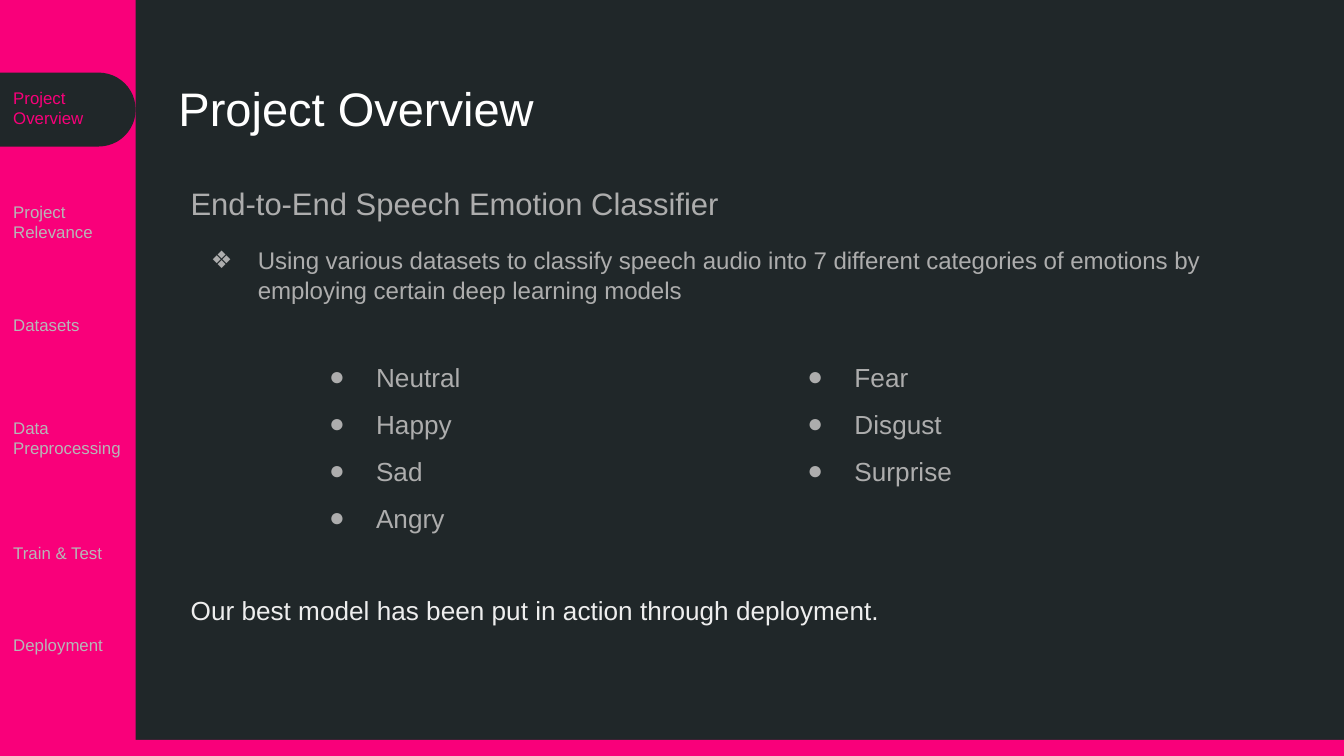
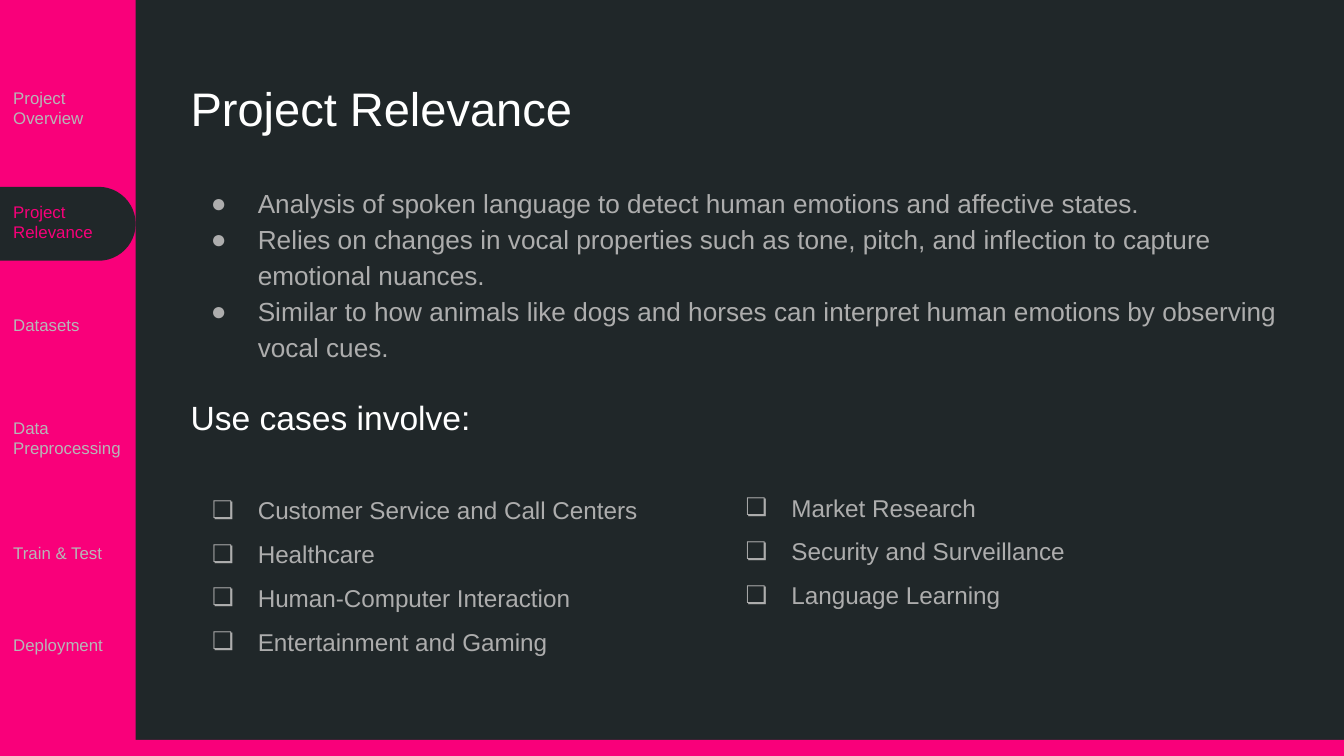
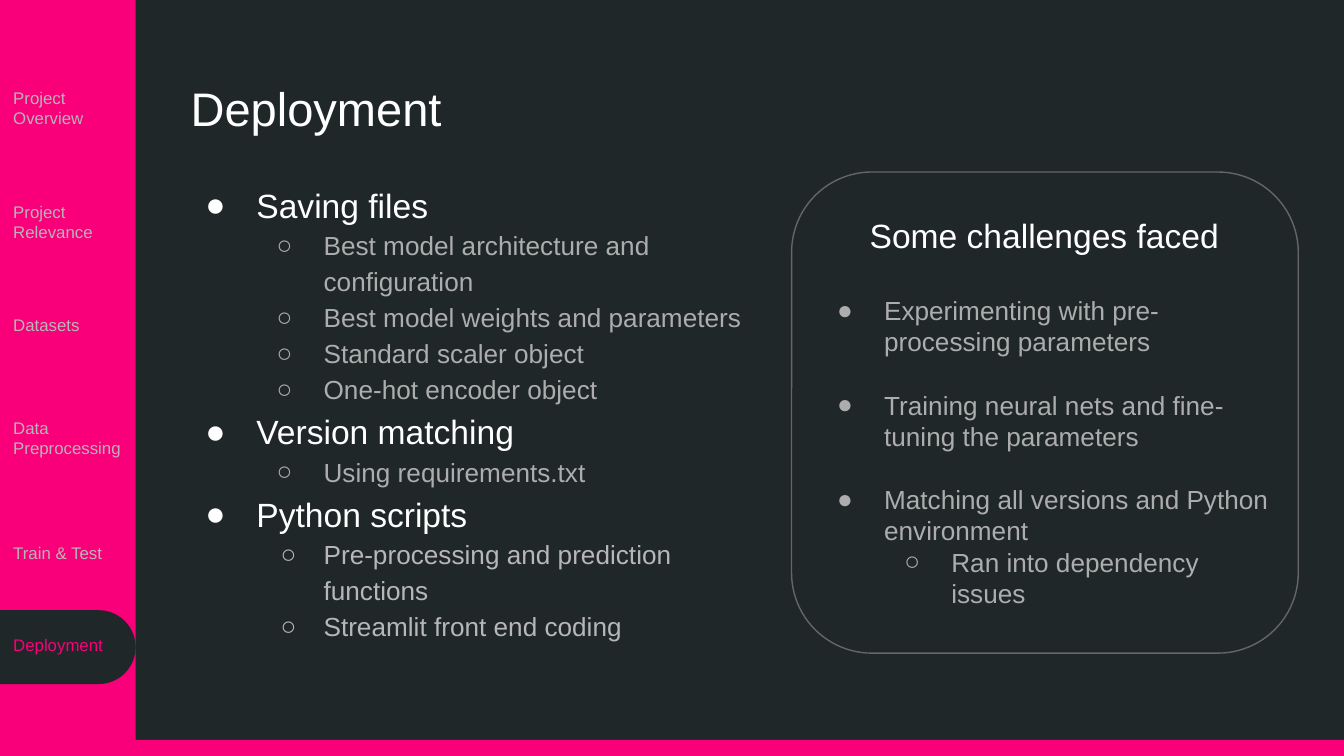
from dataclasses import dataclass

from lxml import etree
from pptx import Presentation
from pptx.dml.color import RGBColor
from pptx.enum.shapes import MSO_SHAPE
from pptx.enum.text import MSO_ANCHOR, PP_ALIGN
from pptx.oxml.ns import qn
from pptx.util import Inches, Pt

RECT = MSO_SHAPE.RECTANGLE
ROUND_RECT = MSO_SHAPE.ROUNDED_RECTANGLE
TOP, MIDDLE = MSO_ANCHOR.TOP, MSO_ANCHOR.MIDDLE
LEFT, CENTER = PP_ALIGN.LEFT, PP_ALIGN.CENTER


@dataclass(frozen=True)
class Theme:
    font: str = "Arial"
    dark: str = "202729"
    accent: str = "F9007A"
    white: str = "FFFFFF"
    bright: str = "EEEEEE"
    body: str = "ADADAD"
    muted: str = "B7B7B7"
    outline: str = "666666"
    title_size: float = 25.2
    heading_size: float = 18
    lead_size: float = 16.6
    body_size: float = 14
    list_size: float = 13
    detail_size: float = 12.9
    nav_size: float = 9


THEME = Theme()


@dataclass(frozen=True)
class Box:
    left: float
    top: float
    width: float
    height: float

    def lengths(self) -> tuple:
        return tuple(Inches(v) for v in (self.left, self.top, self.width, self.height))


@dataclass(frozen=True)
class Para:
    text: str
    size: float = THEME.body_size
    color: str = THEME.body
    bullet: str = ""
    hang: float = 0.35
    level: int = 0
    spacing: float = 1.0
    before: float = 0
    align: PP_ALIGN = LEFT


@dataclass(frozen=True)
class NavItem:
    label: str
    top: float


# 16:9 page
SLIDE_W = 10
SLIDE_H = SLIDE_W * 9 / 16
NAV_W, NAV_H = 1.01, 0.44
PILL_W, PILL_H = 1.4, 0.55
FOOTER_H = 0.12
MARGIN = 1.32
NAV = (
    NavItem("Project Overview", 0.58),
    NavItem("Project Relevance", 1.43),
    NavItem("Datasets", 2.2),
    NavItem("Data Preprocessing", 3.04),
    NavItem("Train & Test", 3.89),
    NavItem("Deployment", 4.58),
)


# Drawing helpers
def rgb(color: str) -> RGBColor:
    return RGBColor.from_string(color)


def add_panel(s, kind, box: Box, fill: str = "", line: str = "", radius: float = 0) -> None:
    sp = s.shapes.add_shape(kind, *box.lengths())
    sp.shadow.inherit = False
    if radius:
        sp.adjustments[0] = radius
    if fill:
        sp.fill.solid()
        sp.fill.fore_color.rgb = rgb(fill)
    else:
        sp.fill.background()
    if line:
        sp.line.color.rgb = rgb(line)
        sp.line.width = Pt(0.75)
    else:
        sp.line.fill.background()


def set_bullet(p, para: Para) -> None:
    pPr = p._p.get_or_add_pPr()
    pPr.set("marL", str(Inches(0.5 * (para.level + 1))))
    pPr.set("indent", str(-Inches(para.hang)))
    clr = etree.SubElement(pPr, qn("a:buClr"))
    etree.SubElement(clr, qn("a:srgbClr"), val=para.color)
    etree.SubElement(pPr, qn("a:buFont"), typeface=THEME.font)
    etree.SubElement(pPr, qn("a:buChar"), char=para.bullet)


def add_text(s, box: Box, paras: list[Para], anchor=TOP) -> None:
    tf = s.shapes.add_textbox(*box.lengths()).text_frame
    tf.word_wrap = True
    tf.vertical_anchor = anchor
    tf.margin_left = tf.margin_right = tf.margin_top = tf.margin_bottom = Inches(0.1)
    for i, para in enumerate(paras):
        p = tf.add_paragraph() if i else tf.paragraphs[0]
        p.alignment = para.align
        p.level = para.level
        p.line_spacing = para.spacing
        p.space_before = Pt(para.before)
        if para.bullet:
            set_bullet(p, para)
        r = p.add_run()
        r.text = para.text
        r.font.name = THEME.font
        r.font.size = Pt(para.size)
        r.font.color.rgb = rgb(para.color)


def bullets(texts: list[str], **style) -> list[Para]:
    return [Para(text, **style) for text in texts]


# Shared slide frame
def add_nav(s, current: str) -> None:
    add_panel(s, RECT, Box(0, SLIDE_H - FOOTER_H, SLIDE_W, FOOTER_H), THEME.accent)
    add_panel(s, RECT, Box(0, 0, NAV_W, SLIDE_H), THEME.accent)
    for item in NAV:
        active = item.label == current
        if active:
            pill_top = item.top - 0.04
            add_panel(s, ROUND_RECT, Box(NAV_W - PILL_W, pill_top, PILL_W, PILL_H),
                      THEME.dark, radius=0.5)
        color = THEME.accent if active else THEME.muted
        add_text(s, Box(0, item.top, NAV_W, NAV_H),
                 [Para(item.label, THEME.nav_size, color)], MIDDLE)


def new_slide(prs, title: str, title_left: float = MARGIN):
    s = prs.slides.add_slide(prs.slide_layouts[6])
    s.background.fill.solid()
    s.background.fill.fore_color.rgb = rgb(THEME.dark)
    add_nav(s, title)
    add_text(s, Box(title_left, 0.49, 8.34, 0.63),
             [Para(title, THEME.title_size, THEME.white)])
    return s


# Slides
def build_overview(prs) -> None:
    s = new_slide(prs, "Project Overview", 1.23)
    add_text(s, Box(MARGIN, 1.26, 8.34, 1.14), [
        Para("End-to-End Speech Emotion Classifier", THEME.lead_size, spacing=1.05),
        Para("Using various datasets to classify speech audio into 7 different categories "
             "of emotions by employing certain deep learning models",
             THEME.detail_size, bullet="❖", spacing=1.05, before=12),
    ])
    emotions = dict(bullet="●", spacing=1.5)
    add_text(s, Box(2.2, 2.47, 2.06, 1.95),
             bullets(["Neutral", "Happy", "Sad", "Angry"], **emotions))
    add_text(s, Box(5.76, 2.47, 1.46, 1.14),
             bullets(["Fear", "Disgust", "Surprise"], **emotions))
    add_text(s, Box(MARGIN, 4.32, 6.29, 0.67), [
        Para("Our best model has been put in action through deployment.", color=THEME.bright)])


def build_relevance(prs) -> None:
    s = new_slide(prs, "Project Relevance")
    add_text(s, Box(MARGIN, 1.26, 8.34, 1.59), bullets([
        "Analysis of spoken language to detect human emotions and affective states.",
        "Relies on changes in vocal properties such as tone, pitch, and inflection "
        "to capture emotional nuances.",
        "Similar to how animals like dogs and horses can interpret human emotions "
        "by observing vocal cues.",
    ], bullet="●", spacing=1.15))
    add_text(s, Box(MARGIN, 2.85, 3.34, 0.55),
             [Para("Use cases involve:", THEME.heading_size, THEME.white)])
    use_cases = dict(size=THEME.list_size, bullet="❏", hang=0.34, spacing=1.5)
    add_text(s, Box(MARGIN, 3.48, 3.66, 1.5), bullets([
        "Customer Service and Call Centers", "Healthcare",
        "Human-Computer Interaction", "Entertainment and Gaming"], **use_cases))
    add_text(s, Box(5.29, 3.46, 3.19, 1.44), bullets([
        "Market Research", "Security and Surveillance", "Language Learning"], **use_cases))


def build_deployment(prs) -> None:
    s = new_slide(prs, "Deployment")
    heading = dict(size=THEME.heading_size, color=THEME.white)
    topic = dict(heading, bullet="●", hang=0.38, spacing=1.15)
    step = dict(bullet="○", level=1, spacing=1.15)
    script_step = dict(step, color=THEME.muted, hang=0.32)
    add_text(s, Box(1.31, 1.23, 4.37, 3.67), [
        Para("Saving files", **topic),
        *bullets(["Best model architecture and configuration",
                  "Best model weights and parameters",
                  "Standard scaler object", "One-hot encoder object"], **step),
        Para("Version matching", **topic),
        Para("Using requirements.txt", **step),
        Para("Python scripts", **topic),
        *bullets(["Pre-processing and prediction functions",
                  "Streamlit front end coding"], **script_step),
    ])
    # Challenges card
    add_panel(s, ROUND_RECT, Box(5.89, 1.28, 3.77, 3.58), line=THEME.outline, radius=0.167)
    add_text(s, Box(5.98, 1.41, 3.58, 3.31), [
        Para("Some challenges faced", align=CENTER, **heading),
        Para("Experimenting with pre-processing parameters", bullet="●", before=21),
        *bullets(["Training neural nets and fine-tuning the parameters",
                  "Matching all versions and Python environment"], bullet="●", before=17),
        Para("Ran into dependency issues", bullet="○", level=1),
    ], MIDDLE)


def main() -> None:
    prs = Presentation()
    prs.slide_width, prs.slide_height = Inches(SLIDE_W), Inches(SLIDE_H)
    build_overview(prs)
    build_relevance(prs)
    build_deployment(prs)
    prs.save("out.pptx")


if __name__ == "__main__":
    main()
